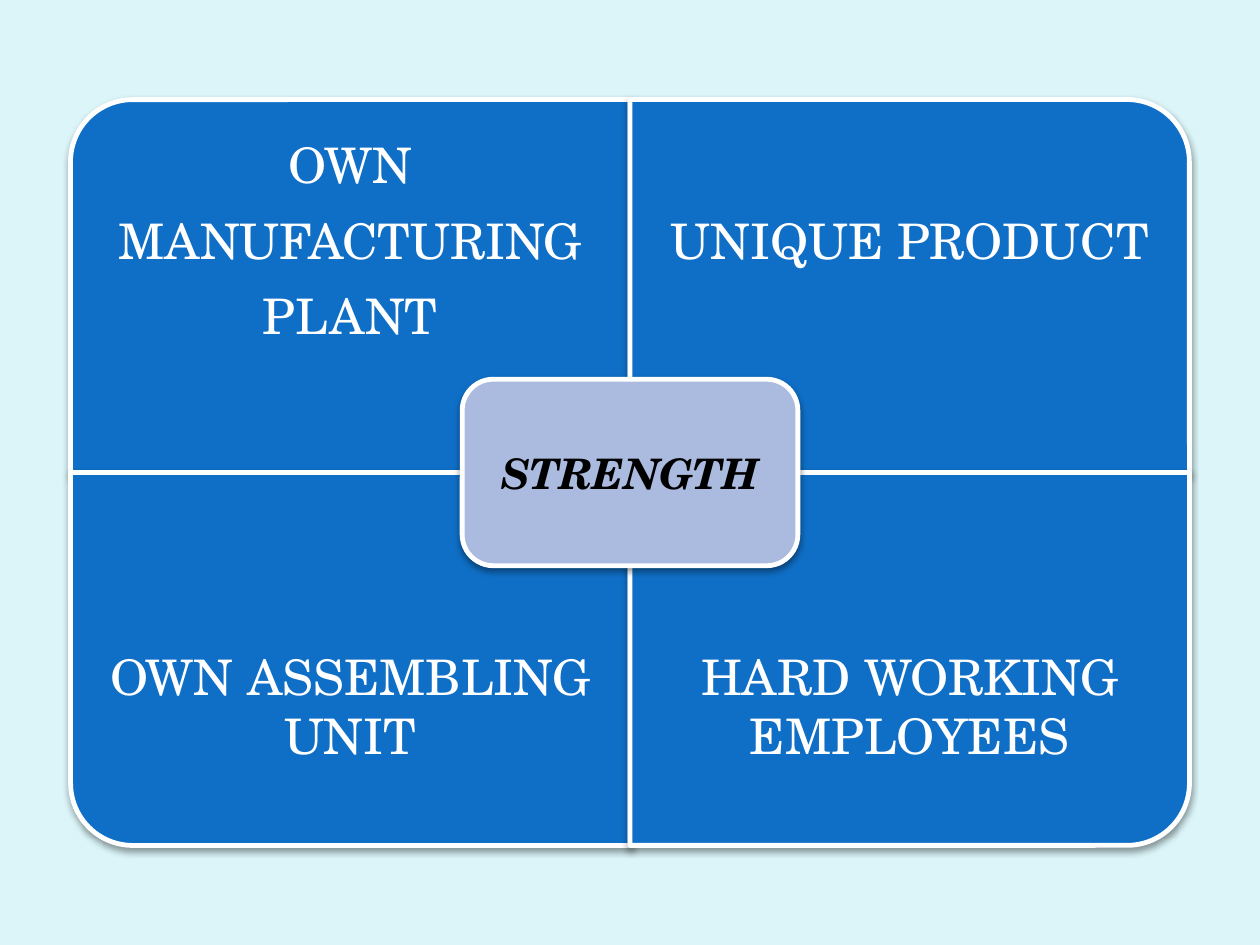
from lxml import etree
from pptx import Presentation
from pptx.dml.color import RGBColor
from pptx.enum.shapes import MSO_SHAPE
from pptx.enum.text import MSO_ANCHOR, PP_ALIGN
from pptx.oxml.ns import qn
from pptx.util import Inches, Pt

QUADRANT, CENTER = MSO_SHAPE.ROUND_1_RECTANGLE, MSO_SHAPE.ROUNDED_RECTANGLE
MIDDLE, CENTERED = MSO_ANCHOR.MIDDLE, PP_ALIGN.CENTER

FONT = "TeX Gyre Schola"
COLORS = {"bg": "DBF5F9", "quadrant": "0F6FC6", "center": "ABBBDF",
          "white": "FFFFFF", "black": "000000"}

# column, row, rotation that turns the round corner outward, text
STRENGTHS = [
    (0, 0, 270, "OWN\nMANUFACTURING\nPLANT"),
    (1, 0, 0, "UNIQUE PRODUCT"),
    (0, 1, 180, "OWN ASSEMBLING UNIT"),
    (1, 1, 90, "HARD WORKING EMPLOYEES"),
]
TITLE = "STRENGTH"

SLIDE_W, SLIDE_H = 10, 7.5
QUAD_W, QUAD_H = 4.44, 2.96
LEFT, TOP = SLIDE_W / 2 - QUAD_W, 0.79
MID_X, MID_Y = SLIDE_W / 2, TOP + QUAD_H
TEXT_H = QUAD_H * 0.75
CENTER_W, CENTER_H = QUAD_W * 0.6, QUAD_H / 2
CENTER_PAD = 0.07


def rgb(name):
    """Return a palette colour."""
    return RGBColor.from_string(COLORS[name])


def add_shadow(sp):
    """Give a shape a soft shadow straight below it."""
    effects = etree.SubElement(sp._element.spPr, qn("a:effectLst"))
    shadow = etree.SubElement(effects, qn("a:outerShdw"), blurRad=str(Pt(4)),
                              dist=str(Pt(2)), dir="5400000", rotWithShape="0")
    color = etree.SubElement(shadow, qn("a:srgbClr"), val=COLORS["black"])
    etree.SubElement(color, qn("a:alpha"), val="40000")


def add_panel(slide, kind, cx, cy, w, h, fill, rotation=0):
    """Add a white-edged panel by its centre and unrotated size."""
    sp = slide.shapes.add_shape(kind, Inches(cx - w / 2), Inches(cy - h / 2),
                                Inches(w), Inches(h))
    sp.rotation = rotation
    sp.fill.solid()
    sp.fill.fore_color.rgb = rgb(fill)
    sp.line.color.rgb = rgb("white")
    sp.line.width = Pt(2.75)
    add_shadow(sp)


def add_label(slide, x, y, w, h, text, size, color, inset, emphasis=False):
    """Add centred text, one paragraph per line of text."""
    tf = slide.shapes.add_textbox(Inches(x), Inches(y), Inches(w), Inches(h)).text_frame
    tf.word_wrap = True
    tf.vertical_anchor = MIDDLE
    tf.margin_left = tf.margin_right = tf.margin_top = tf.margin_bottom = Inches(inset)
    tf.text = text
    for p in tf.paragraphs:
        p.alignment = CENTERED
        p.space_after = Pt(size * 0.35)
        for r in p.runs:
            r.font.name = FONT
            r.font.size = Pt(size)
            r.font.bold = r.font.italic = emphasis
            r.font.color.rgb = rgb(color)


prs = Presentation()
prs.slide_width, prs.slide_height = Inches(SLIDE_W), Inches(SLIDE_H)
slide = prs.slides.add_slide(prs.slide_layouts[6])
slide.background.fill.solid()
slide.background.fill.fore_color.rgb = rgb("bg")

for col, row, rotation, text in STRENGTHS:
    x, y = LEFT + col * QUAD_W, TOP + row * QUAD_H
    w, h = (QUAD_H, QUAD_W) if rotation % 180 else (QUAD_W, QUAD_H)
    add_panel(slide, QUADRANT, x + QUAD_W / 2, y + QUAD_H / 2, w, h,
              "quadrant", rotation)
    text_y = y + row * (QUAD_H - TEXT_H)
    add_label(slide, x, text_y, QUAD_W, TEXT_H, text, 28, "white", 0.22)

add_panel(slide, CENTER, MID_X, MID_Y, CENTER_W, CENTER_H, "center")
title_w, title_h = CENTER_W - 2 * CENTER_PAD, CENTER_H - 2 * CENTER_PAD
add_label(slide, MID_X - title_w / 2, MID_Y - title_h / 2, title_w, title_h,
          TITLE, 24, "black", 0.1, emphasis=True)

prs.save("out.pptx")
